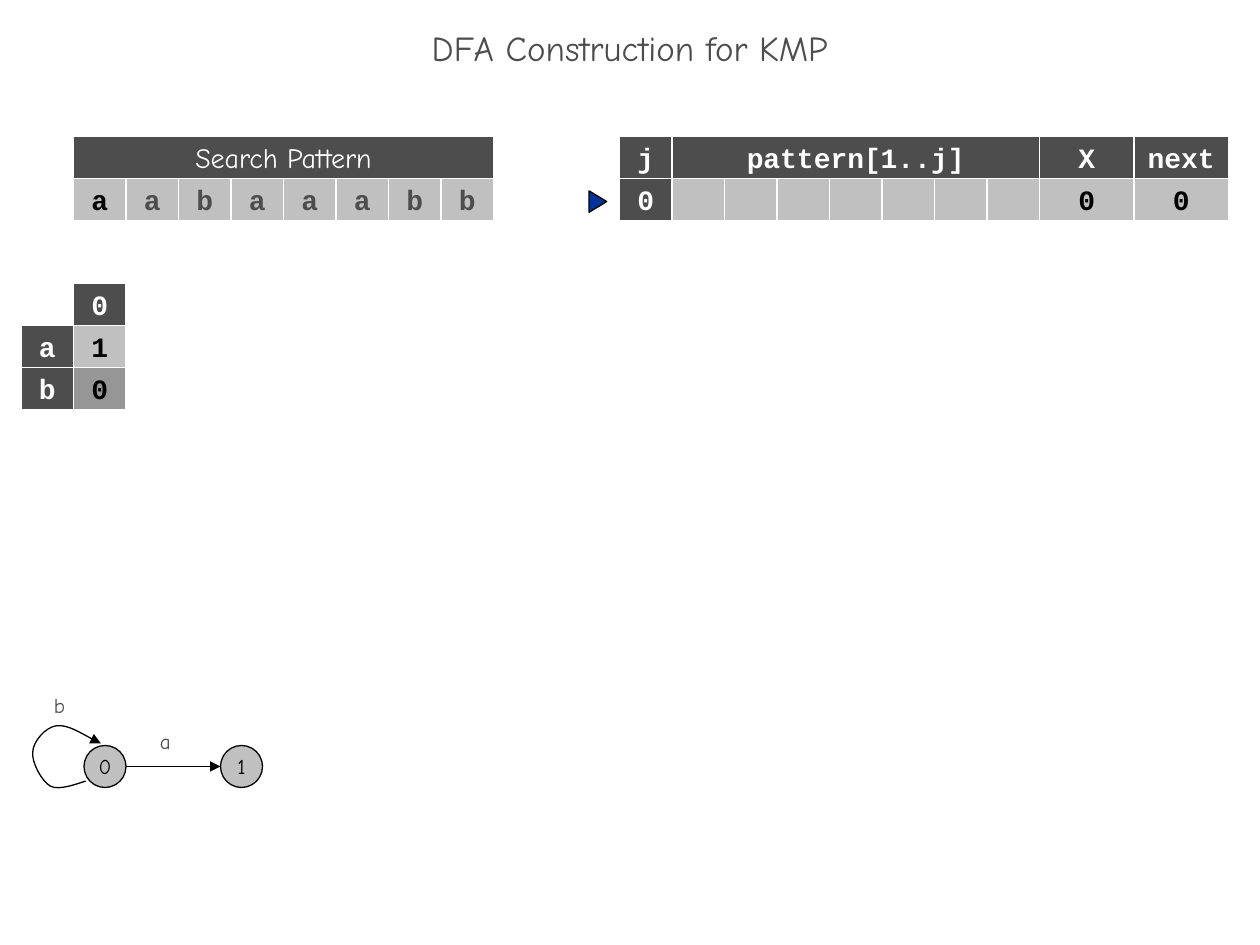
from dataclasses import dataclass

from pptx import Presentation
from pptx.dml.color import RGBColor as Rgb
from pptx.enum.shapes import MSO_CONNECTOR as Link, MSO_SHAPE as Kind
from pptx.enum.text import MSO_ANCHOR as Anchor, MSO_AUTO_SIZE as Fit, PP_ALIGN as Align
from pptx.oxml.ns import qn
from pptx.util import Inches, Pt
from lxml.etree import SubElement as Sub

HAND, MONO = "Comic Neue", "Courier New"
DARK, MID, PALE = "4D4D4D", "969696", "C0C0C0"
BLACK, WHITE, BLUE = "000000", "FFFFFF", "003399"
UNIT = 1 / 12
WIDE, HIGH = 5, 4


@dataclass
class Cell:
    col: int
    row: int
    text: str = ""
    fill: str = PALE
    ink: str = BLACK
    wide: int = WIDE
    font: str = MONO


@dataclass
class State:
    col: int
    row: int
    text: str


@dataclass
class Label:
    left: float
    top: float
    text: str


def tint(part, color: str) -> None:
    part.rgb = Rgb.from_string(color)


def grid(*spans: float) -> list[int]:
    return [Inches(span * UNIT) for span in spans]


def write(frame, text: str, *, size: float, color: str, font: str = HAND,
          bold: bool = False, align=Align.CENTER, anchor=Anchor.MIDDLE,
          wrap: bool = False, fit=Fit.NONE, before: float = 0,
          space: float = 1) -> None:
    frame.word_wrap = wrap
    frame.auto_size = fit
    frame.vertical_anchor = anchor
    para = frame.paragraphs[0]
    para.alignment = align
    para.space_before = Pt(before)
    para.line_spacing = space
    run = para.add_run()
    run.text = text
    run.font.size = Pt(size)
    run.font.name = font
    run.font.bold = bold
    tint(run.font.color, color)


def edge(line, color: str) -> None:
    line.width = Pt(0.75)
    line.fill.solid()
    tint(line.fill.fore_color, color)


def paint(shape, fill: str, line: str) -> None:
    shape.shadow.inherit = False
    shape.fill.solid()
    tint(shape.fill.fore_color, fill)
    edge(shape.line, line)


def point(shape) -> None:
    Sub(shape.line._get_or_add_ln(), qn("a:tailEnd"), type="triangle")


def draw_cell(shapes, cell: Cell) -> None:
    box = shapes.add_shape(Kind.RECTANGLE, *grid(cell.col, cell.row, cell.wide, HIGH))
    paint(box, cell.fill, WHITE)
    if cell.text:
        write(box.text_frame, cell.text, size=16, color=cell.ink,
              font=cell.font, bold=cell.font == MONO)


def draw_state(shapes, state: State) -> None:
    disc = shapes.add_shape(Kind.OVAL, *grid(state.col, state.row, HIGH, HIGH))
    paint(disc, PALE, BLACK)
    write(disc.text_frame, state.text, size=12, color=BLACK)


def draw_label(shapes, label: Label) -> None:
    box = shapes.add_textbox(Inches(label.left), Inches(label.top),
                             Inches(0.42), Inches(0.3))
    write(box.text_frame, label.text, size=12, color=DARK, align=Align.LEFT,
          anchor=Anchor.TOP, wrap=True, fit=Fit.SHAPE_TO_FIT_TEXT, before=7.5)


def draw_step(shapes, start: State, end: State) -> None:
    mid = start.row + HIGH / 2
    line = shapes.add_connector(Link.STRAIGHT,
                                *grid(start.col + HIGH, mid, end.col, mid))
    edge(line.line, BLACK)
    point(line)
    Sub(line._element.spPr, qn("a:effectLst"))


def draw_loop(shapes, knots: list[tuple[float, float]]) -> None:
    first, *rest = [(Inches(x), Inches(y)) for x, y in knots]
    pen = shapes.build_freeform(*first)
    pen.add_line_segments(rest, close=False)
    loop = pen.convert_to_shape()
    loop.shadow.inherit = False
    loop.fill.background()
    edge(loop.line, BLACK)
    point(loop)
    lines = list(loop._element.iter(qn("a:lnTo")))
    for i in range(0, len(lines), 3):
        curve = Sub(lines[i].getparent(), qn("a:cubicBezTo"))
        for line in lines[i:i + 3]:
            curve.append(line[0])
            line.getparent().remove(line)


def draw_mark(shapes) -> None:
    mark = shapes.add_shape(Kind.ISOSCELES_TRIANGLE, Inches(4.66), Inches(1.53),
                            Inches(0.17), Inches(0.14))
    mark.rotation = 90
    paint(mark, BLUE, BLACK)


def head(col: int, row: int, text: str, wide: int = WIDE, font: str = MONO) -> Cell:
    return Cell(col, row, text, DARK, WHITE, wide, font)


def main() -> None:
    deck = Presentation()
    deck.slide_width, deck.slide_height = Inches(10), Inches(7.5)
    shapes = deck.slides.add_slide(deck.slide_layouts[5]).shapes

    title = shapes.title
    title.left, title.top = Inches(0), Inches(0.17)
    title.width, title.height = Inches(10), Inches(0.5)
    write(title.text_frame, "DFA Construction for KMP", size=20, color=DARK,
          wrap=True, space=0.7)

    cells = [head(7, 13, "Search Pattern", 8 * WIDE, HAND)]
    cells += [Cell(7 + i * WIDE, 17, char, ink=DARK if i else BLACK)
              for i, char in enumerate("aabaaabb")]
    cells += [head(59, 13, "j"), head(64, 13, "pattern[1..j]", 7 * WIDE),
              head(99, 13, "X", 9), head(108, 13, "next", 9), head(59, 17, "0")]
    cells += [Cell(64 + i * WIDE, 17) for i in range(7)]
    cells += [Cell(col, 17, "0", wide=9) for col in (99, 108)]
    cells += [head(7, 27, "0"), head(2, 31, "a"), Cell(7, 31, "1"),
              head(2, 35, "b"), Cell(7, 35, "0", MID)]
    for cell in cells:
        draw_cell(shapes, cell)

    states = [State(8, 71, "0"), State(21, 71, "1")]
    for state in states:
        draw_state(shapes, state)
    draw_step(shapes, *states)
    draw_loop(shapes, [
        (0.68, 6.2),
        (0.64, 6.21), (0.47, 6.28), (0.4, 6.24),
        (0.33, 6.2), (0.25, 6.05), (0.26, 5.97),
        (0.26, 5.89), (0.36, 5.77), (0.45, 5.76),
        (0.54, 5.75), (0.73, 5.87), (0.8, 5.9)])
    for label in (Label(1.17, 5.73, "a"), Label(0.33, 5.45, "b")):
        draw_label(shapes, label)
    draw_mark(shapes)

    deck.save("out.pptx")


if __name__ == "__main__":
    main()
